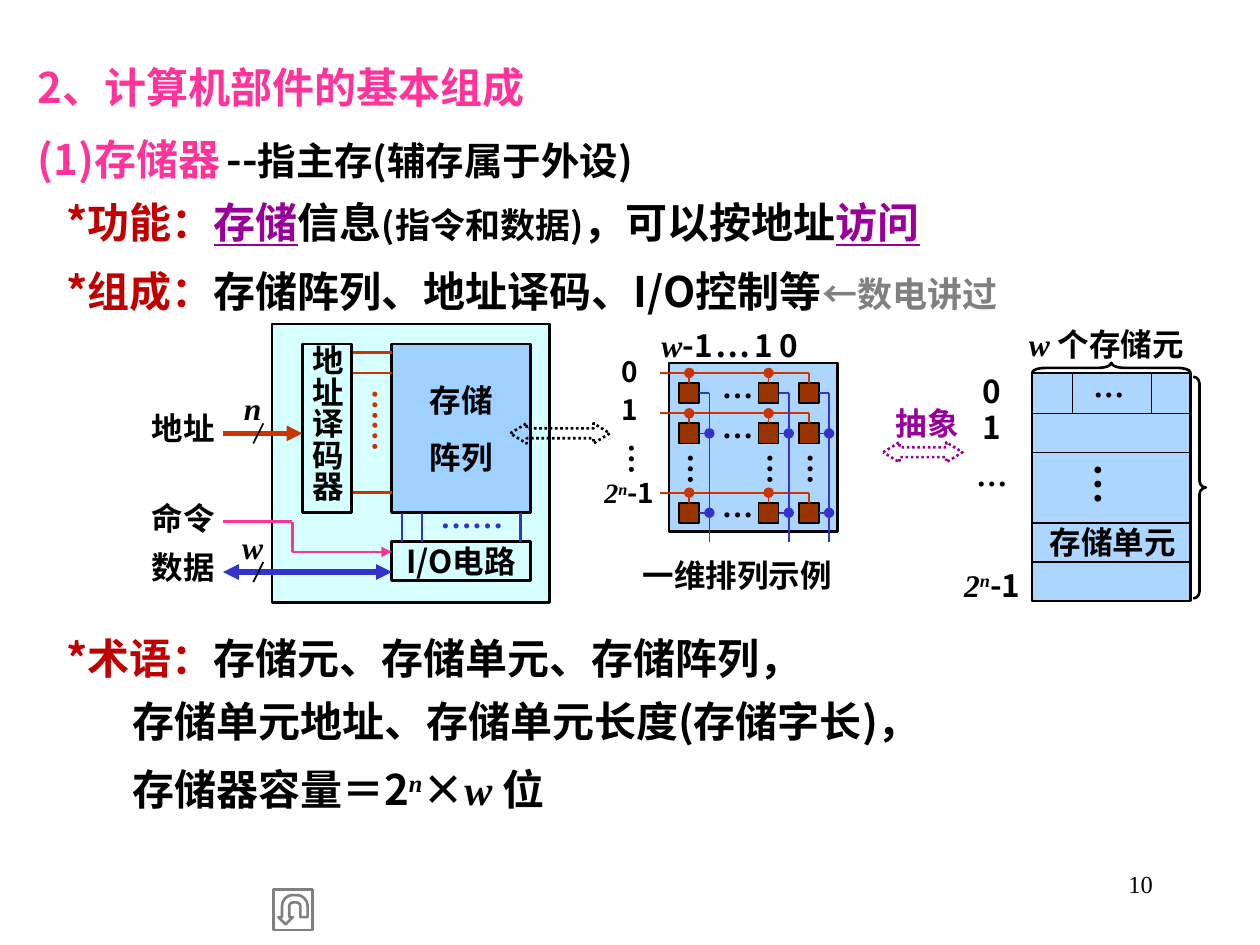
from dataclasses import dataclass
from itertools import pairwise

from lxml.etree import SubElement
from pptx import Presentation
from pptx.dml.color import RGBColor
from pptx.enum.dml import MSO_LINE
from pptx.enum.shapes import MSO_CONNECTOR, MSO_SHAPE
from pptx.enum.text import MSO_ANCHOR, MSO_AUTO_SIZE, PP_ALIGN
from pptx.oxml.ns import qn
from pptx.util import Inches, Pt

BLACK = RGBColor(0x00, 0x00, 0x00)
PINK = RGBColor(0xFF, 0x33, 0x99)
RED = RGBColor(0xC0, 0x00, 0x00)
PURPLE = RGBColor(0x99, 0x00, 0x99)
GRAY = RGBColor(0x80, 0x80, 0x80)
ORANGE = RGBColor(0xCC, 0x33, 0x00)
BLUE = RGBColor(0x33, 0x33, 0xCC)
BROWN = RGBColor(0x99, 0x33, 0x00)
AQUA = RGBColor(0xCC, 0xFF, 0xFF)
SKY = RGBColor(0x99, 0xCC, 0xFF)
SANS, SERIF = "Noto Sans CJK SC", "Times New Roman"
VARIABLE = {"face": SERIF, "italic": True}
LAST_ADDRESS = [("2", VARIABLE), ("n", VARIABLE | {"raised": True}), "-1"]


def style(font, size=None, color=None, face=None, bold=None, italic=None,
          underline=None, raised=False):
    """Set the given properties on a paragraph or span font."""
    if size:
        font.size = Pt(size)
    if color is not None:
        font.color.rgb = color
    font.bold, font.italic, font.underline = bold, italic, underline
    if face:
        font.name = face
        SubElement(font._element, qn("a:ea"), typeface=SANS)
    if raised:
        font._element.set("baseline", "30000")


def write(para, spans, spacing=1.0, align=PP_ALIGN.LEFT, indent=0, tab=None, **base):
    """Fill a paragraph with plain strings or (text, overrides) spans."""
    para.alignment, para.line_spacing, para.space_before = align, spacing, Pt(0)
    properties = para._p.get_or_add_pPr()
    properties.set("marL", str(Inches(indent)))
    properties.set("indent", "0")
    if tab:
        stops = SubElement(properties, qn("a:tabLst"))
        SubElement(stops, qn("a:tab"), pos=str(Inches(tab)), algn="l")
    style(para.font, **({"size": 18, "color": BLACK, "face": SANS, "bold": True} | base))
    for item in spans:
        text, changes = (item, {}) if isinstance(item, str) else item
        span = para.add_run()
        span.text = text
        if changes:
            style(span.font, **changes)


def set_frame(frame, anchor=MSO_ANCHOR.MIDDLE, vertical=False):
    """Give a diagram text frame its tight margins and direction."""
    frame.word_wrap, frame.vertical_anchor = True, anchor
    frame.margin_left = frame.margin_right = Inches(0.02)
    frame.margin_top = frame.margin_bottom = Inches(0.01)
    if vertical:
        frame._txBody.bodyPr.set("vert", "eaVert")


@dataclass
class Region:
    """A part of the page whose contents are placed from its top left corner."""
    shapes: object
    left: float
    top: float

    def at(self, x, y):
        """Return a point on the page."""
        return Inches(self.left + x), Inches(self.top + y)

    def label(self, x, y, width, height, *spans, vertical=False,
              align=PP_ALIGN.CENTER, **base):
        """Add a text label, centred in its height."""
        box = self.shapes.add_textbox(*self.at(x, y), Inches(width), Inches(height))
        set_frame(box.text_frame, vertical=vertical)
        write(box.text_frame.paragraphs[0], spans, align=align, **base)

    def shape(self, kind, x, y, width, height, fill=None, alpha=100, line=BLACK,
              weight=1.5, adjust=(), turn=0):
        """Add a preset shape."""
        shape = self.shapes.add_shape(kind, *self.at(x, y), Inches(width), Inches(height))
        shape.shadow.inherit = False
        shape.rotation = turn
        for index, value in enumerate(adjust):
            shape.adjustments[index] = value
        if fill is None:
            shape.fill.background()
        else:
            shape.fill.solid()
            shape.fill.fore_color.rgb = fill
            color = shape._element.spPr.find(qn("a:solidFill"))[0]
            SubElement(color, qn("a:alpha"), val=str(alpha * 1000))
        shape.line.color.rgb, shape.line.width = line, Pt(weight)
        return shape

    def block(self, x, y, width, height, lines, vertical=False, **look):
        """Add a rectangle with (text, spacing) lines."""
        frame = self.shape(MSO_SHAPE.RECTANGLE, x, y, width, height, **look).text_frame
        set_frame(frame, vertical=vertical)
        for index, (text, spacing) in enumerate(lines):
            para = frame.add_paragraph() if index else frame.paragraphs[0]
            write(para, [text], spacing, PP_ALIGN.CENTER)

    def wire(self, start, end, color=BLACK, weight=1.0, head=None, tail=None):
        """Add a straight line with optional ends."""
        wire = self.shapes.add_connector(MSO_CONNECTOR.STRAIGHT, *self.at(*start), *self.at(*end))
        wire.line.color.rgb, wire.line.width = color, Pt(weight)
        properties = wire._element.spPr
        for tag, kind in (("a:headEnd", head), ("a:tailEnd", tail)):
            if kind:
                SubElement(properties.find(qn("a:ln")), qn(tag), type=kind)
        SubElement(properties, qn("a:effectLst"))


def add_title(page, text):
    """Place and format the title."""
    title = page.shapes.title
    title.left, title.top, title.width, title.height = map(Inches, (0.2, 0.34, 9.61, 0.6))
    frame = title.text_frame
    frame.auto_size, frame.vertical_anchor = MSO_AUTO_SIZE.NONE, MSO_ANCHOR.TOP
    write(frame.paragraphs[0], [text], 1.25, size=24, color=PINK)


def add_body(page, top, height, *lines):
    """Add a full-width text box of (spans, indent, tab) lines."""
    box = page.shapes.add_textbox(Inches(0.2), Inches(top), Inches(9.61), Inches(height))
    frame = box.text_frame
    frame.word_wrap = True
    for index, (spans, indent, tab) in enumerate(lines):
        para = frame.add_paragraph() if index else frame.paragraphs[0]
        write(para, spans, 1.25, indent=indent, tab=tab, size=24)


def draw_memory(region):
    """Draw the memory with its decoder, array and I/O circuit."""
    region.shape(MSO_SHAPE.RECTANGLE, 1.02, 0, 2.2, 2.21, AQUA, 80)
    region.block(1.26, 0.16, 0.39, 1.34, [("地址译码器", 1.0)], vertical=True)
    region.block(1.97, 0.16, 1.1, 1.34, [("存储", 1.0), ("阵列", 1.5)], fill=SKY, alpha=90)
    region.block(1.97, 1.73, 1.1, 0.31, [("I/O电路", 1.0)])
    for y in (0.23, 0.39, 1.34):
        region.wire((1.66, y), (1.97, y), ORANGE, 1.5)
    for x in (2.05, 2.21, 2.99):
        region.wire((x, 1.5), (x, 1.73), BLUE, 1.5)
    region.label(1.74, 0.51, 0.32, 0.71, "……", vertical=True, spacing=0.9, face=SERIF, color=ORANGE)
    region.label(2.21, 1.42, 0.79, 0.24, "……", spacing=0.9, face=SERIF, color=BLUE)
    for name, y in (("地址", 0.71), ("命令", 1.42), ("数据", 1.81)):
        region.label(0, y, 0.63, 0.24, name)
    region.wire((0.63, 0.87), (1.26, 0.87), ORANGE, 3, tail="triangle")
    region.wire((0.63, 1.97), (1.97, 1.97), BLUE, 3, "triangle", "triangle")
    command = [(0.63, 1.57), (1.18, 1.57), (1.18, 1.81), (1.97, 1.81)]
    for start, end in pairwise(command):
        region.wire(start, end, PINK, 1.5, tail="triangle" if end == command[-1] else None)
    for name, y in (("n", 0.55), ("w", 1.65)):
        region.label(0.71, y, 0.31, 0.24, name, **VARIABLE)
        region.wire((0.95, y + 0.24), (0.87, y + 0.4))


def draw_bit_array(region):
    """Draw the array of storage bits with its word and bit lines."""
    columns, rows, size = (0.08, 0.71, 1.03), (0.16, 0.48, 1.11), 0.16
    region.shape(MSO_SHAPE.RECTANGLE, 0, 0, 1.34, 1.34, SKY, 80)
    for y in rows:
        region.wire((-0.07, y - 0.08), (1.11, y - 0.08), ORANGE)
        region.label(0.39, y - 0.08, 0.31, 0.24, "…", spacing=0.9, face=SERIF)
        for x in columns:
            region.shape(MSO_SHAPE.RECTANGLE, x, y, size, size, BROWN, weight=1)
            region.wire((x + 0.08, y - 0.08), (x + 0.08, y), ORANGE,
                        head=None if x == columns[-1] else "oval")
            region.wire((x + size, y + 0.08), (x + 0.24, y + 0.08), BLUE,
                        tail=None if y == rows[0] else "oval")
    for x in columns:
        region.wire((x + 0.24, rows[0] + 0.08), (x + 0.24, 1.42), BLUE)
        region.label(x, 0.71, 0.31, 0.24, "…", vertical=True, spacing=0.9, face=SERIF)
    region.label(-0.39, 0.63, 0.31, 0.24, "…", vertical=True, spacing=0.9, face=SERIF)
    for spans, y in ((["0"], 0.07), (["1"], 0.37), (LAST_ADDRESS, 1.03)):
        region.label(-0.55, y - 0.12, 0.47, 0.24, *spans, size=16)
    region.label(-0.08, -0.26, 1.34, 0.24, ("w", VARIABLE), "-1", (" ", {"size": 8}), "…",
                 (" ", {"size": 9}), "1 0", align=PP_ALIGN.LEFT)
    region.label(-0.23, 1.53, 1.57, 0.31, "一维排列示例", align=PP_ALIGN.LEFT)


def draw_word_table(region):
    """Draw the abstract view: one storage word for each address."""
    width, height = 1.26, 1.81
    region.shape(MSO_SHAPE.RECTANGLE, 0, 0, width, height, SKY, 80)
    for y in (0.32, 0.63, 1.19, 1.5):
        region.wire((0, y), (width, y), weight=0.75)
    for x in (0.32, 0.95):
        region.wire((x, 0), (x, 0.32), weight=0.75)
    for spans, y in ((["0"], 0.14), (["1"], 0.43), (["…"], 0.88), (LAST_ADDRESS, 1.68)):
        region.label(-0.63, y - 0.15, 0.63, 0.3, *spans)
    region.label(0.47, 0.02, 0.39, 0.31, "…", align=PP_ALIGN.LEFT)
    region.label(0.36, 0.71, 0.55, 0.47, "…", vertical=True, size=24, face=SERIF,
                 align=PP_ALIGN.LEFT)
    region.label(0.12, 1.22, 1.1, 0.24, "存储单元", align=PP_ALIGN.LEFT)
    region.label(-0.08, -0.39, 1.34, 0.32, ("w ", VARIABLE), "个存储元")
    region.shape(MSO_SHAPE.LEFT_BRACE, 0.59, -0.67, 0.08, width, adjust=(1.31, 0.5), turn=90)
    region.shape(MSO_SHAPE.RIGHT_BRACE, 1.28, 0.03, 0.1, 1.76, adjust=(0.54, 0.5))


def draw_link(region, width, color):
    """Draw a dotted double arrow between two diagrams."""
    arrow = region.shape(MSO_SHAPE.LEFT_RIGHT_ARROW, 0, 0, width, 0.16, line=color,
                         adjust=(0.49, 0.81))
    arrow.line.dash_style = MSO_LINE.ROUND_DOT


def main():
    """Build the slide and save it."""
    deck = Presentation()
    deck.slide_width, deck.slide_height = Inches(10), Inches(7.5)
    page = deck.slides.add_slide(deck.slide_layouts[5])
    heading, key = {"color": RED}, {"color": PURPLE, "underline": True}
    add_title(page, "2、计算机部件的基本组成")
    add_body(page, 0.91, 1.11,
             ([("(1)存储器\t", {"color": PINK}), "--", ("指主存(辅存属于外设)", {"size": 22})], 0, 2.06),
             ([("*功能：", heading), ("存储", key), "信息", ("(指令和数据)", {"size": 20}),
               "，可以按地址", ("访问", key)], 0.23, None))
    add_body(page, 1.96, 0.61,
             ([("*组成：", heading), "存储阵列、地址译码、I/O控制等\t",
               ("←数电讲过", {"size": 20, "color": GRAY})], 0.23, 6.98))
    add_body(page, 4.87, 1.11,
             ([("*术语：", heading), "存储元、存储单元、存储阵列，"], 0.23, None),
             (["存储单元地址、存储单元长度(存储字长)，"], 0.75, None))
    add_body(page, 5.91, 0.55,
             (["存储器容量＝2", ("n", VARIABLE | {"raised": True}), "×", ("w ", VARIABLE), "位"],
              0.75, None))
    for draw, left, top in ((draw_memory, 1.14, 2.57), (draw_bit_array, 5.31, 2.88),
                            (draw_word_table, 8.19, 2.96)):
        draw(Region(page.shapes.add_group_shape().shapes, left, top))
    draw_link(Region(page.shapes, 4.05, 3.36), 0.79, BLACK)
    draw_link(Region(page.shapes, 7.01, 3.51), 0.63, PURPLE)
    whole = Region(page.shapes, 0, 0)
    whole.label(7.09, 3.2, 0.55, 0.31, "抽象", color=PURPLE, align=PP_ALIGN.LEFT)
    whole.shape(MSO_SHAPE.ACTION_BUTTON_RETURN, 2.17, 7.06, 0.31, 0.32, line=GRAY, turn=180)
    whole.label(7.17, 6.86, 2, 0.3, "10", size=14, face=SERIF, bold=False, align=PP_ALIGN.RIGHT)
    deck.save("out.pptx")


if __name__ == "__main__":
    main()
